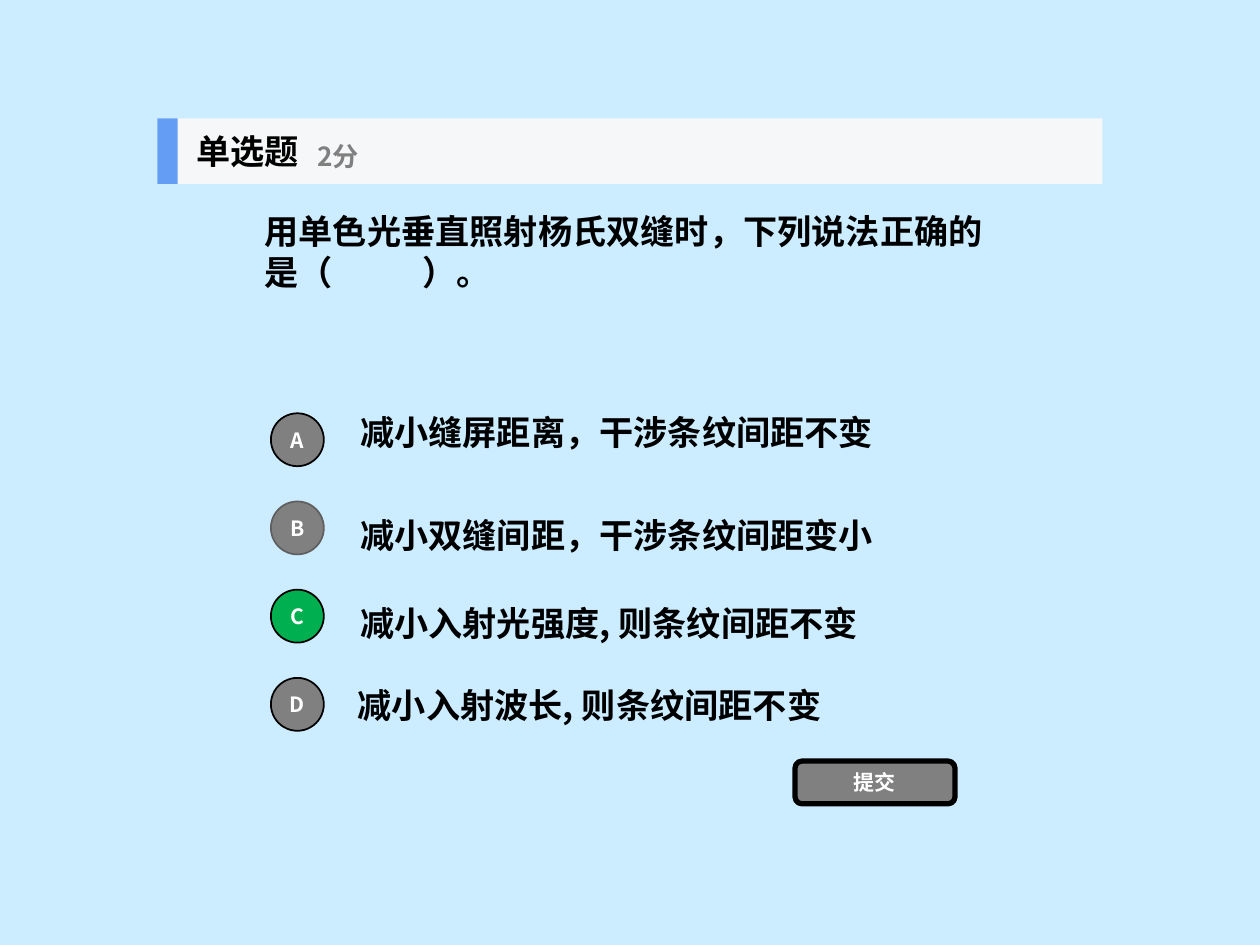
"""Build a single-choice quiz slide on double-slit interference."""
from lxml import etree
from pptx import Presentation
from pptx.dml.color import RGBColor
from pptx.enum.shapes import MSO_SHAPE
from pptx.enum.text import MSO_ANCHOR, MSO_AUTO_SIZE, PP_ALIGN
from pptx.oxml.ns import qn
from pptx.util import Inches, Pt

RECT, ROUND, OVAL = MSO_SHAPE.RECTANGLE, MSO_SHAPE.ROUNDED_RECTANGLE, MSO_SHAPE.OVAL
MIDDLE, FIXED = MSO_ANCHOR.MIDDLE, MSO_AUTO_SIZE.NONE
LEFT, CENTER = PP_ALIGN.LEFT, PP_ALIGN.CENTER
FONT = "Noto Sans CJK SC"
HUES = {"sky": "CCECFF", "black": "000000", "white": "FFFFFF", "gray": "808080",
        "dark": "5F5F5F", "green": "00B050", "pale": "F6F7F8", "blue": "639EF4"}


def hue(name):
    """Return the named colour."""
    return RGBColor.from_string(HUES[name])


def write(frame, text, size=19.5, color="black", align=LEFT, pad=0.1, tab=None):
    """Fill a text frame with one bold paragraph."""
    frame.word_wrap, frame.auto_size = True, FIXED
    frame.vertical_anchor = MIDDLE
    frame.margin_left = frame.margin_right = Inches(pad)
    frame.margin_top = frame.margin_bottom = Inches(pad / 2)
    para = frame.paragraphs[0]
    para.alignment = align
    if tab:
        stops = etree.SubElement(para._p.get_or_add_pPr(), qn("a:tabLst"))
        etree.SubElement(stops, qn("a:tab"), pos=str(Inches(tab)), algn="l")
    run = para.add_run()
    run.text = text
    font = run.font
    font.size, font.bold, font.name = Pt(size), True, FONT
    font.color.rgb = hue(color)
    etree.SubElement(run._r.get_or_add_rPr(), qn("a:ea"), typeface=FONT)


class Quiz:
    """Hold the current slide and draw its elements."""

    def __init__(self, deck):
        """Add a title slide with a plain background."""
        self.slide = deck.slides.add_slide(deck.slide_layouts[5])
        fill = self.slide.background.fill
        fill.solid()
        fill.fore_color.rgb = hue("sky")

    def title(self, text, box, **style):
        """Place the question in the title placeholder."""
        shape = self.slide.shapes.title
        shape.left, shape.top, shape.width, shape.height = map(Inches, box)
        write(shape.text_frame, text, **style)

    def label(self, text, box, **style):
        """Add a text box."""
        shape = self.slide.shapes.add_textbox(*map(Inches, box))
        write(shape.text_frame, text, **style)

    def shape(self, kind, box, fill, line=None, width=1, text=None):
        """Add a filled shape with an optional outline and caption."""
        shape = self.slide.shapes.add_shape(kind, *map(Inches, box))
        shape.shadow.inherit = False
        shape.fill.solid()
        shape.fill.fore_color.rgb = hue(fill)
        if line:
            shape.line.color.rgb = hue(line)
            shape.line.width = Pt(width)
        else:
            shape.line.fill.background()
        if text:
            write(shape.text_frame, text, size=12, color="white", align=CENTER, pad=0)


def main():
    """Build and save the deck."""
    deck = Presentation()
    deck.slide_width, deck.slide_height = Inches(10), Inches(7.5)
    quiz = Quiz(deck)
    quiz.title("用单色光垂直照射杨氏双缝时，下列说法正确的是（\t）。",
               (2, 1.46, 6, 1.07), tab=1.25)

    options = [
        ("A", "减小缝屏距离，干涉条纹间距不变", 2.76, 3.16, "gray", "black"),
        ("B", "减小双缝间距，干涉条纹间距变小", 2.76, 3.98, "gray", "dark"),
        ("C", "减小入射光强度, 则条纹间距不变", 2.76, 4.68, "green", "black"),
        ("D", "减小入射波长, 则条纹间距不变", 2.74, 5.33, "gray", "black"),
    ]
    for row, (key, text, left, top, fill, line) in enumerate(options):
        quiz.label(text, (left, top, 5.24, 0.53))
        quiz.shape(OVAL, (2.15, 3.28 + 0.7 * row, 0.42, 0.42), fill, line, text=key)

    quiz.shape(ROUND, (6.31, 6.04, 1.27, 0.34), "gray", "black", 3, "提交")
    quiz.shape(RECT, (1.25, 0.94, 7.5, 0.52), "pale")
    quiz.shape(RECT, (1.25, 0.94, 0.16, 0.52), "blue")
    quiz.label("单选题", (1.46, 0.94, 1.56, 0.52))
    quiz.label("2分", (2.42, 1.03, 1.88, 0.42), size=15, color="gray")
    deck.save("out.pptx")


if __name__ == "__main__":
    main()
